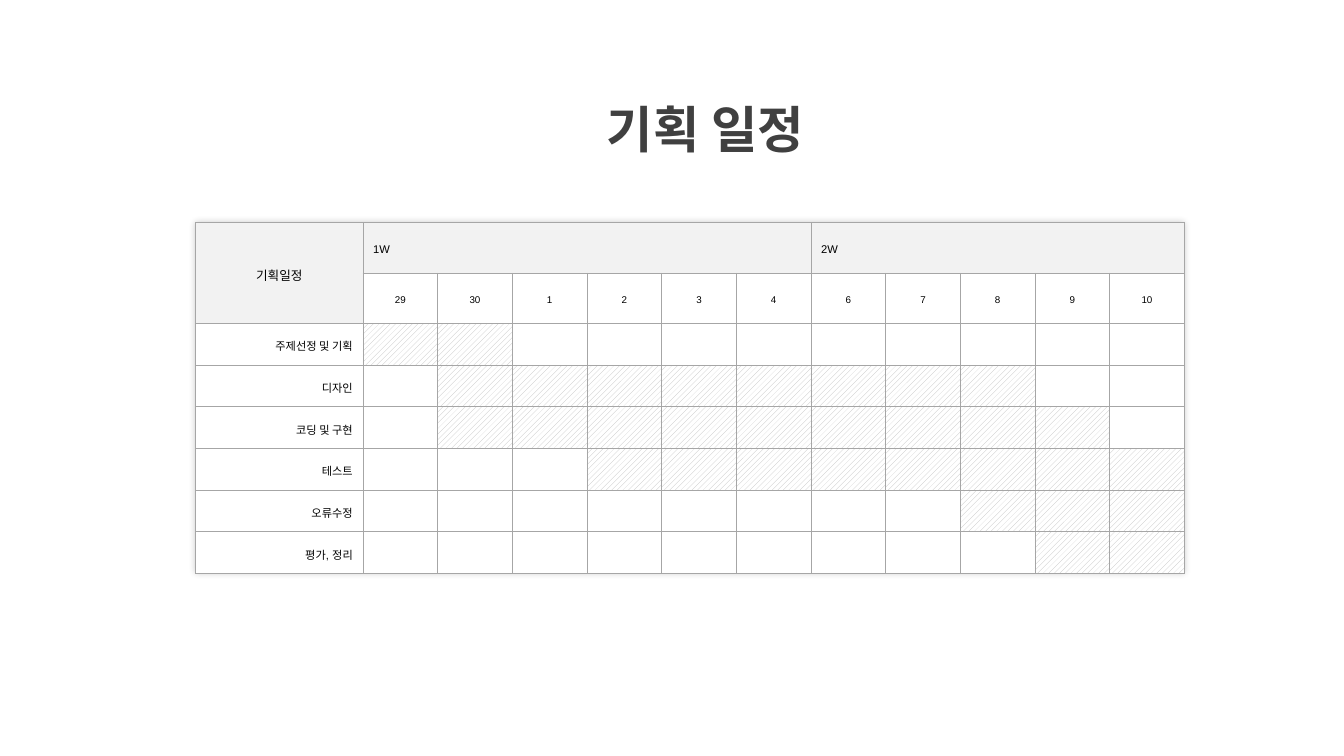
from lxml.etree import SubElement
from pptx import Presentation
from pptx.dml.color import RGBColor
from pptx.enum.dml import MSO_PATTERN as Pattern
from pptx.enum.shapes import MSO_SHAPE as Shape
from pptx.enum.text import MSO_ANCHOR as Anchor, PP_ALIGN as Align
from pptx.oxml import parse_xml
from pptx.oxml.ns import nsdecls, qn
from pptx.util import Inches, Pt

WIDTH, HEIGHT = 13.33, 7.5
COLORS = {
    "paper": "FFFFFF",
    "header": "F2F2F2",
    "hatch": "BFBFBF",
    "border": "A6A6A6",
    "ink": "000000",
    "title": "404040",
}

# Frame of the schedule, in inches
LEFT, TOP, TABLE_WIDTH, TABLE_HEIGHT = 1.94, 2.21, 9.81, 3.48
LABEL_WIDTH, HEADER_HEIGHT = 1.66, 0.5

# Weeks with their days, then tasks with first and last day worked
WEEKS = {"1W": [29, 30, 1, 2, 3, 4], "2W": [6, 7, 8, 9, 10]}
DAYS = [day for days in WEEKS.values() for day in days]
TASKS = [
    ("주제선정 및 기획", 29, 30),
    ("디자인", 30, 8),
    ("코딩 및 구현", 30, 9),
    ("테스트", 2, 10),
    ("오류수정", 8, 10),
    ("평가, 정리", 9, 10),
]


def color(name):
    return RGBColor.from_string(COLORS[name])


def write(frame, text, size, font="Arial", ink="ink", bold=False,
          align=Align.LEFT, spacing=1.0):
    para = frame.paragraphs[0]
    para.alignment = align
    para.line_spacing = spacing
    span = para.add_run()
    span.text = text
    span.font.size = Pt(size)
    span.font.name = font
    span.font.bold = bold
    span.font.color.rgb = color(ink)


class SchedulePage:
    """Holds the slide and draws its elements; frames are shares of its size."""

    def __init__(self, deck):
        self.page = deck.slides.add_slide(deck.slide_layouts[5])

    def frame(self, left, top, width, height):
        return (Inches(WIDTH * left), Inches(HEIGHT * top),
                Inches(WIDTH * width), Inches(HEIGHT * height))

    def title(self, text, *shares):
        box = self.page.shapes.title
        box.left, box.top, box.width, box.height = self.frame(*shares)
        box.text_frame.vertical_anchor = Anchor.TOP
        write(box.text_frame, text, 36, font="Lato", ink="title", bold=True)

    def panel(self, *shares):
        box = self.page.shapes.add_shape(Shape.RECTANGLE, *self.frame(*shares))
        box.fill.solid()
        box.fill.fore_color.rgb = color("paper")
        box.line.fill.background()
        box.shadow.inherit = False
        props = box.fill._xPr
        fill_color = props.find(qn("a:solidFill"))[0]
        SubElement(fill_color, qn("a:alpha"), val="52000")
        # Soft glow around the table
        effects = props.find(qn("a:effectLst"))
        effects.append(parse_xml(
            f'<a:outerShdw {nsdecls("a")} blurRad="63500" algn="ctr" '
            f'rotWithShape="0"><a:srgbClr val="{COLORS["ink"]}">'
            '<a:alpha val="40000"/></a:srgbClr></a:outerShdw>'))

    def table(self, rows, columns, *shares):
        grid = self.page.shapes.add_table(
            rows, columns, *self.frame(*shares)).table
        grid.first_row = grid.horz_banding = False
        for cell in grid.iter_cells():
            self.paint(cell, "paper")
            self.outline(cell)
            cell.vertical_anchor = Anchor.MIDDLE
            cell.margin_top = cell.margin_bottom = 0
        return grid

    def paint(self, cell, name):
        cell.fill.solid()
        cell.fill.fore_color.rgb = color(name)

    def hatch(self, cell):
        cell.fill.patterned()
        cell.fill.pattern = Pattern.WIDE_UPWARD_DIAGONAL
        cell.fill.fore_color.rgb = color("hatch")
        cell.fill.back_color.rgb = color("paper")

    def outline(self, cell):
        props = cell._tc.get_or_add_tcPr()
        for place, side in enumerate(("lnL", "lnR", "lnT", "lnB")):
            props.insert(place, parse_xml(
                f'<a:{side} {nsdecls("a")} w="{Pt(0.5)}"><a:solidFill>'
                f'<a:srgbClr val="{COLORS["border"]}"/></a:solidFill>'
                f'</a:{side}>'))

    def header(self, first, last, text, size, **style):
        first.merge(last)
        self.paint(first, "header")
        write(first.text_frame, text, size, **style)


def main():
    deck = Presentation()
    deck.slide_width, deck.slide_height = Inches(WIDTH), Inches(HEIGHT)
    schedule = SchedulePage(deck)
    schedule.title("기획 일정", 5.92 / WIDTH, 0.92 / HEIGHT,
                   2.67 / WIDTH, 0.71 / HEIGHT)

    # Panel and table share one frame
    shares = (LEFT / WIDTH, TOP / HEIGHT,
              TABLE_WIDTH / WIDTH, TABLE_HEIGHT / HEIGHT)
    schedule.panel(*shares)
    grid = schedule.table(len(TASKS) + 2, len(DAYS) + 1, *shares)

    # Column widths and row heights
    day_width = (TABLE_WIDTH - LABEL_WIDTH) / len(DAYS)
    task_height = (TABLE_HEIGHT - 2 * HEADER_HEIGHT) / len(TASKS)
    for index, column in enumerate(grid.columns):
        column.width = Inches(day_width if index else LABEL_WIDTH)
    for index, row in enumerate(grid.rows):
        row.height = Inches(HEADER_HEIGHT if index < 2 else task_height)

    # Header rows
    schedule.header(grid.cell(0, 0), grid.cell(1, 0), "기획일정", 9,
                    align=Align.CENTER, spacing=1.2)
    start = 1
    for week, days in WEEKS.items():
        end = start + len(days)
        schedule.header(grid.cell(0, start), grid.cell(0, end - 1), week, 8,
                        align=Align.JUSTIFY, spacing=1.3)
        start = end
    for column, day in enumerate(DAYS, 1):
        write(grid.cell(1, column).text_frame, str(day), 7,
              align=Align.CENTER, spacing=1.3)

    # Task rows with hatched working days
    for row, (task, first, last) in enumerate(TASKS, 2):
        write(grid.cell(row, 0).text_frame, task, 8,
              align=Align.RIGHT, spacing=1.2)
        for column in range(DAYS.index(first) + 1, DAYS.index(last) + 2):
            schedule.hatch(grid.cell(row, column))

    deck.save("out.pptx")


if __name__ == "__main__":
    main()
